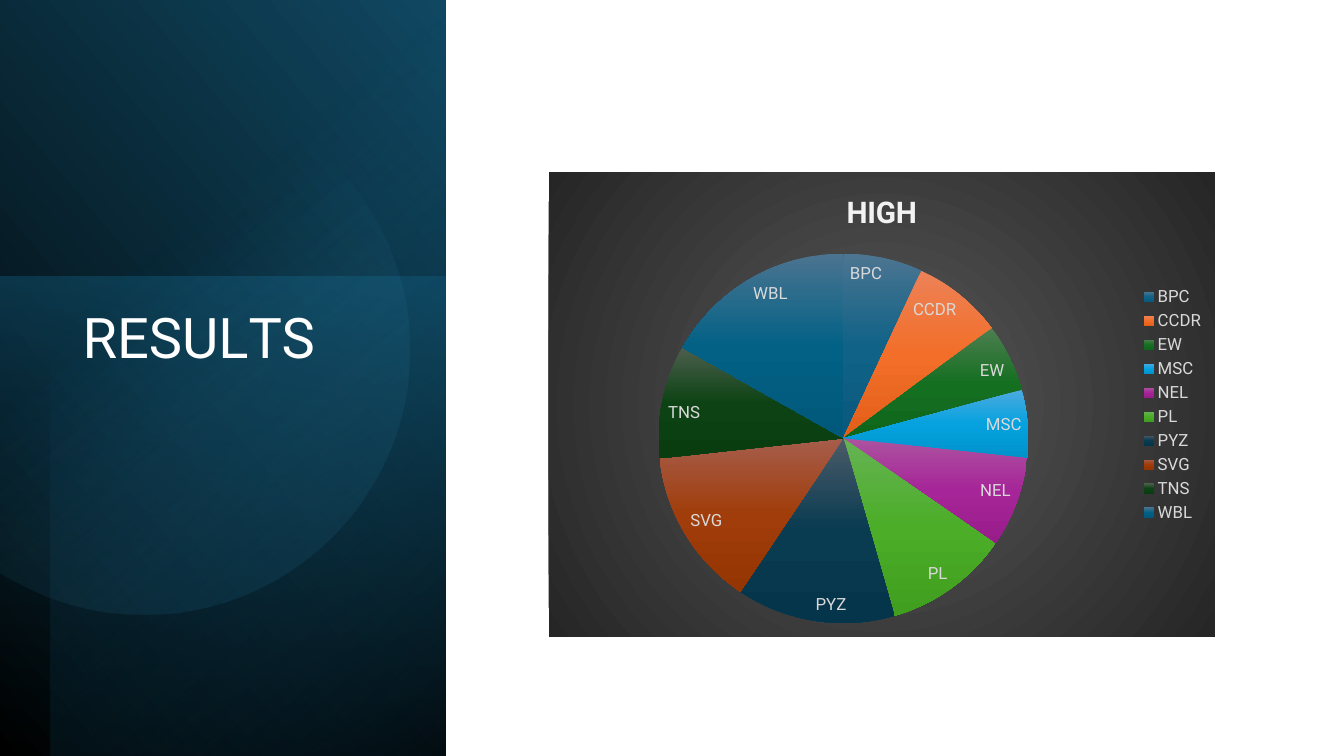
from dataclasses import dataclass
from math import acos, cos, pi, sin

from pptx import Presentation
from pptx.chart.data import CategoryChartData
from pptx.dml.color import RGBColor
from pptx.enum.chart import XL_CHART_TYPE, XL_LABEL_POSITION, XL_LEGEND_POSITION
from pptx.enum.shapes import MSO_SHAPE
from pptx.enum.text import MSO_ANCHOR
from pptx.oxml import parse_xml
from pptx.oxml.ns import nsdecls, qn
from pptx.util import Inches, Pt


@dataclass(frozen=True)
class Theme:
    font: str = "Roboto"
    title_color: str = "FFFFFF"
    heading_color: str = "F2F2F2"
    label_color: str = "D9D9D9"
    black: str = "000000"
    navy: str = "104862"
    teal: str = "156082"
    deep_teal: str = "0B3041"
    sky: str = "46B1E1"
    chart_center: str = "595959"
    chart_edge: str = "262626"
    title_size: float = 40
    heading_size: float = 21.3
    label_size: float = 12


THEME = Theme()

# name, value, slice colours from top to bottom
HIGH_RESULTS = [
    ("BPC", 7, ("4C7591", "106287", "09597D")),
    ("CCDR", 8, ("ED8257", "F26E29", "E25F1A")),
    ("EW", 6, ("4D7E50", "156F21", "0F661B")),
    ("MSC", 6, ("4CAADF", "05A2DF", "0092CB")),
    ("NEL", 8, ("AC53A0", "A62598", "991C8B")),
    ("PL", 11, ("66B354", "4BAD28", "409F1E")),
    ("PYZ", 14, ("4B5B68", "093B51", "05354B")),
    ("SVG", 14, ("A65D4C", "A03D0A", "943502")),
    ("TNS", 10, ("4C5F4D", "0D4314", "093D10")),
    ("WBL", 17, ("4B7490", "036186", "00587A")),
]


def gradient(stops, angle=None):
    """Gradient from (position, colour, opacity) in percent; circular without an angle."""
    stop_xml = "".join(
        f'<a:gs pos="{position * 1000}"><a:srgbClr val="{color}">'
        f'<a:alpha val="{opacity * 1000}"/></a:srgbClr></a:gs>'
        for position, color, opacity in stops
    )
    if angle is None:
        direction = ('<a:path path="circle"><a:fillToRect l="50000" t="50000" '
                     'r="50000" b="50000"/></a:path>')
    else:
        direction = f'<a:lin ang="{round(angle * 60000)}" scaled="0"/>'
    return parse_xml(f'<a:gradFill {nsdecls("a")} rotWithShape="1">'
                     f"<a:gsLst>{stop_xml}</a:gsLst>{direction}</a:gradFill>")


def paint(fill, stops, angle):
    fill.gradient()
    properties = fill._xPr
    properties.replace(properties.find(qn("a:gradFill")), gradient(stops, angle))


class ResultsSlide:
    def __init__(self, presentation, theme):
        self.theme = theme
        self.slide = presentation.slides.add_slide(presentation.slide_layouts[6])

    def style_font(self, font, size, color, bold=False):
        font.name = self.theme.font
        font.size = Pt(size)
        font.bold = bold
        font.color.rgb = RGBColor.from_string(color)

    def finish(self, shape, stops, angle):
        shape.shadow.inherit = False
        shape.line.fill.background()
        paint(shape.fill, stops, angle)

    def panel(self, left, top, width, height, rotation, stops, angle, flip=False):
        panel = self.slide.shapes.add_shape(
            MSO_SHAPE.RECTANGLE, Inches(left), Inches(top), Inches(width), Inches(height))
        panel.rotation = rotation
        if flip:
            panel._element.spPr.find(qn("a:xfrm")).set("flipH", "1")
        self.finish(panel, stops, angle)

    def clipped_disc(self, center_x, center_y, radius, stops, angle, steps=120):
        """Disc cut off by the left edge of the slide."""
        reach = acos(-center_x / radius)
        turns = [-reach + 2 * reach * step / steps for step in range(steps + 1)]
        points = [(Inches(center_x + radius * cos(turn)),
                   Inches(center_y + radius * sin(turn))) for turn in turns]
        outline = self.slide.shapes.build_freeform(*points[0])
        outline.add_line_segments(points[1:], close=True)
        self.finish(outline.convert_to_shape(), stops, angle)

    def title(self, left, top, width, height, pieces):
        """Title from (text, letter spacing in points) pieces."""
        frame = self.slide.shapes.add_textbox(
            Inches(left), Inches(top), Inches(width), Inches(height)).text_frame
        frame.word_wrap = True
        frame.vertical_anchor = MSO_ANCHOR.TOP
        paragraph = frame.paragraphs[0]
        paragraph.line_spacing = 0.9
        for text, spacing in pieces:
            run = paragraph.add_run()
            run.text = text
            self.style_font(run.font, self.theme.title_size, self.theme.title_color)
            run.font._element.set("spc", str(round(spacing * 100)))

    def pie(self, left, top, width, height, heading, results, plot_area):
        theme = self.theme
        data = CategoryChartData()
        data.categories = [name for name, _, _ in results]
        data.add_series(heading, [value for _, value, _ in results])
        chart = self.slide.shapes.add_chart(
            XL_CHART_TYPE.PIE, Inches(left), Inches(top), Inches(width), Inches(height),
            data).chart
        self.style_font(chart.font, 10, theme.black)

        chart.has_title = True
        heading_run = chart.chart_title.text_frame.paragraphs[0].add_run()
        heading_run.text = heading
        self.style_font(heading_run.font, theme.heading_size, theme.heading_color, bold=True)

        chart.has_legend = True
        chart.legend.position = XL_LEGEND_POSITION.RIGHT
        chart.legend.include_in_layout = False
        self.style_font(chart.legend.font, theme.label_size, theme.label_color)

        plot = chart.plots[0]
        plot.vary_by_categories = True
        plot.has_data_labels = True
        labels = plot.data_labels
        labels.show_category_name = True
        labels.show_value = False
        labels.show_percentage = False
        labels.position = XL_LABEL_POSITION.INSIDE_END
        self.style_font(labels.font, theme.label_size, theme.label_color)

        for index, (_, _, colors) in enumerate(results):
            slice_format = plot.series[0].points[index].format
            stops = [(50 * step, color, 100) for step, color in enumerate(colors)]
            paint(slice_format.fill, stops, 90)
            slice_format.line.fill.background()

        self.chart_background(chart)
        self.place_plot(chart, plot_area)

    def chart_background(self, chart):
        background = parse_xml(f'<c:spPr {nsdecls("c", "a")}><a:ln><a:noFill/></a:ln></c:spPr>')
        background.insert(0, gradient(
            [(0, self.theme.chart_center, 100), (100, self.theme.chart_edge, 100)]))
        chart._chartSpace.find(qn("c:chart")).addnext(background)

    def place_plot(self, chart, plot_area):
        """Fix the plot at x, y, w, h, given as shares of the chart."""
        shares = "".join(f'<c:{side} val="{share}"/>' for side, share in zip("xywh", plot_area))
        layout = parse_xml(
            f'<c:layout {nsdecls("c")}><c:manualLayout><c:layoutTarget val="inner"/>'
            f'<c:xMode val="edge"/><c:yMode val="edge"/>{shares}</c:manualLayout></c:layout>')
        area = chart._chartSpace.find(qn("c:chart")).find(qn("c:plotArea"))
        automatic = area.find(qn("c:layout"))
        if automatic is not None:
            area.remove(automatic)
        area.insert(0, layout)


def main():
    presentation = Presentation()
    presentation.slide_width = Inches(13.33)
    presentation.slide_height = Inches(7.5)
    slide = ResultsSlide(presentation, THEME)

    slide.panel(-1.55, 1.55, 7.52, 4.42, 90,
                [(0, THEME.black, 100), (100, THEME.navy, 100)], 310, flip=True)
    slide.panel(-0.17, 2.91, 4.76, 4.42, 270,
                [(0, THEME.teal, 50), (100, THEME.deep_teal, 0)], 190)
    slide.panel(-1.29, 1.79, 7.5, 3.92, 270,
                [(0, THEME.black, 59), (69, THEME.teal, 0)], 220, flip=True)
    slide.clipped_disc(1.43, 3.47, 2.63,
                       [(39, THEME.sky, 0), (100, THEME.navy, 26)], 51.6)
    slide.title(0.72, 3.03, 3.15, 3.36,
                [("R", 0), ("E", -0.4), ("S", 0.1), ("U", -0.3), ("L", -4), ("TS", 0)])
    slide.pie(5.44, 1.71, 6.61, 4.61, "HIGH", HIGH_RESULTS, (0.165, 0.175, 0.555, 0.795))

    presentation.save("out.pptx")


if __name__ == "__main__":
    main()
